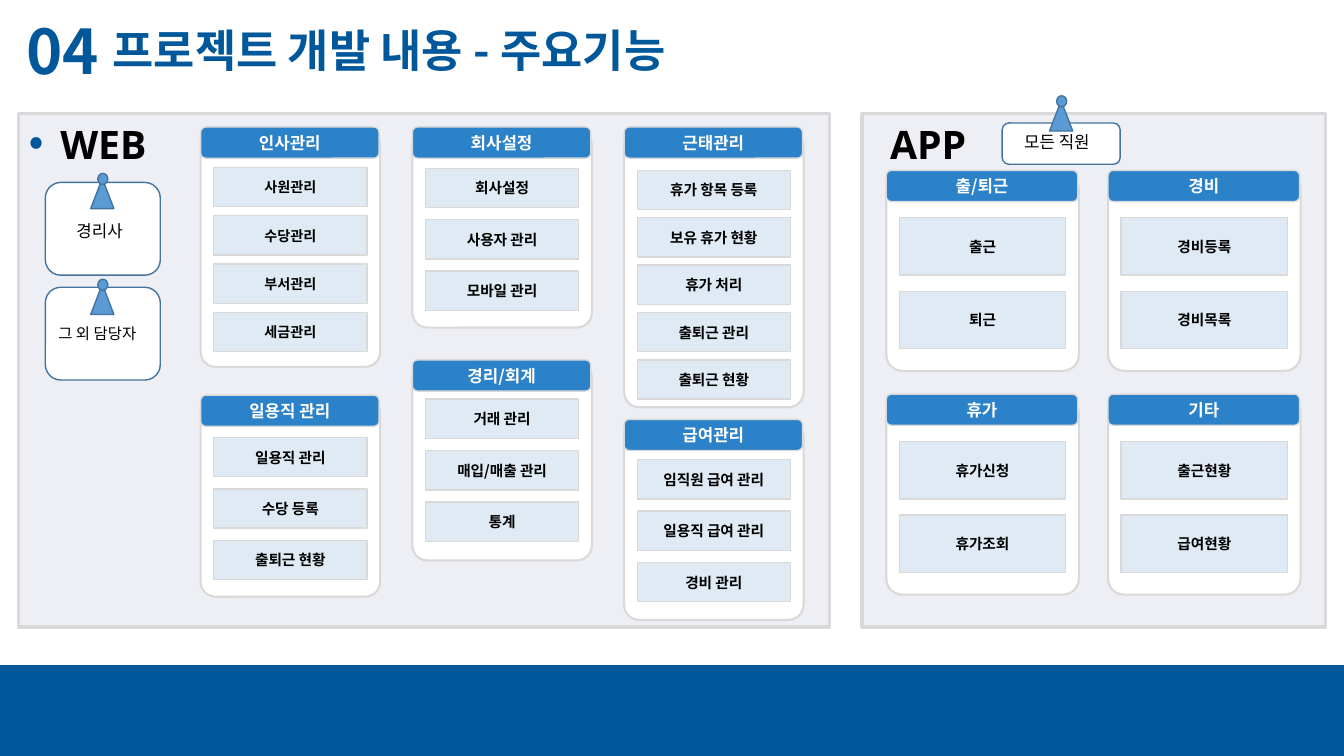
from pptx import Presentation
from pptx.dml.color import RGBColor
from pptx.enum.shapes import MSO_SHAPE
from pptx.enum.text import MSO_ANCHOR, MSO_AUTO_SIZE, PP_ALIGN
from pptx.oxml.ns import qn
from pptx.util import Inches, Pt

RECTANGLE = MSO_SHAPE.RECTANGLE
ROUNDED = MSO_SHAPE.ROUNDED_RECTANGLE
CONE = MSO_SHAPE.FLOWCHART_EXTRACT
BALL = MSO_SHAPE.FLOWCHART_CONNECTOR
CENTER = PP_ALIGN.CENTER
LEFT = PP_ALIGN.LEFT
MIDDLE = MSO_ANCHOR.MIDDLE
GROW = MSO_AUTO_SIZE.SHAPE_TO_FIT_TEXT

THEME = {
    "korean": "Noto Sans CJK KR",
    "latin": "Open Sans",
    "shapes": {
        "panel": ("EEEFF4", "D9D9D9", 2.25),
        "footer": ("00589B", "00589B", 1),
        "card": ("FFFFFF", "D9D9D9", 1.5),
        "header": ("2B82C9", "D9D9D9", 1),
        "item": ("E0EAF4", "D9D9D9", 1),
        "role": ("FFFFFF", "43739E", 1),
        "pin": ("5B9BD5", "43739E", 1),
    },
    "text": {
        "number": {"size": 44, "color": "00589B", "bold": True},
        "title": {"size": 32, "color": "00589B", "bold": True},
        "platform": {"size": 28, "color": "000000", "bold": True},
        "header": {"size": 12, "color": "FFFFFF", "bold": True},
        "item": {"size": 10.5, "color": "000000", "bold": True},
        "small item": {"size": 10.1, "color": "000000", "bold": True},
        "role": {"size": 12, "color": "000000", "bold": False},
        "small role": {"size": 11, "color": "000000", "bold": False},
    },
}

HEADINGS = [
    ("04.", (0.16, 0.08, 1.08, 0.84), "number"),
    ("프로젝트 개발 내용 - 주요기능", (1.02, 0.18, 6.5, 0.64), "title"),
]
PLATFORMS = [
    ("WEB", (0.18, 1.13, 8.05, 5.09), (0.5, 1.14, 2.81, 0.57)),
    ("APP", (8.55, 1.13, 4.6, 5.09), (8.73, 1.14, 1.61, 0.57)),
]
FOOTER = (0, 6.6, 13.33, 0.9)

WEB_COLUMNS = (1.99, 4.09, 6.19)
APP_COLUMNS = (8.79, 10.99)
WEB_SIZE = {"width": 1.77, "item_height": 0.39}
APP_SIZE = {"width": 1.9, "item_height": 0.57}

WEB_CARDS = [
    ("인사관리", 0, 1.26, 2.35, 0.40, 0.48, "small item",
     ["사원관리", "수당관리", "부서관리", "세금관리"]),
    ("일용직 관리", 0, 3.92, 1.97, 0.42, 0.51, "item",
     ["일용직 관리", "수당 등록", "출퇴근 현황"]),
    ("회사설정", 1, 1.26, 1.96, 0.41, 0.51, "item",
     ["회사설정", "사용자 관리", "모바일 관리"]),
    ("경리/회계", 1, 3.57, 1.96, 0.39, 0.51, "item",
     ["거래 관리", "매입/매출 관리", "통계"]),
    ("근태관리", 2, 1.26, 2.75, 0.43, 0.47, "item",
     ["휴가 항목 등록", "보유 휴가 현황", "휴가 처리", "출퇴근 관리", "출퇴근 현황"]),
    ("급여관리", 2, 4.16, 1.96, 0.40, 0.51, "item",
     ["임직원 급여 관리", "일용직 급여 관리", "경비 관리"]),
]
APP_CARDS = [
    (title, column, top, 1.96, 0.47, 0.73, "item", items)
    for title, column, top, items in [
        ("출/퇴근", 0, 1.69, ["출근", "퇴근"]),
        ("경비", 1, 1.69, ["경비등록", "경비목록"]),
        ("휴가", 0, 3.91, ["휴가신청", "휴가조회"]),
        ("기타", 1, 3.91, ["출근현황", "급여현황"]),
    ]
]
ROLES = [
    ("경리사", (0.45, 1.81, 1.14, 0.92), (0.66, 2.14, 0.71, 0.3), "role", (0.9, 1.72), False),
    ("그 외 담당자", (0.45, 2.85, 1.14, 0.92), (0.48, 3.17, 1.08, 0.29), "small role", (0.9, 2.77), False),
    ("모든 직원", (9.94, 1.22, 1.17, 0.41), (10.06, 1.26, 0.93, 0.3), "role", (10.41, 0.95), True),
]


def write(shape, text, style, font_name=THEME["korean"], align=LEFT):
    paragraph = shape.text_frame.paragraphs[0]
    paragraph.alignment = align
    run = paragraph.add_run()
    run.text = text
    look = THEME["text"][style]
    values = {"name": font_name, "size": Pt(look["size"]), "bold": look["bold"]}
    for name, value in values.items():
        setattr(run.font, name, value)
    run.font.color.rgb = RGBColor.from_string(look["color"])
    east_asian = run._r.get_or_add_rPr().makeelement(qn("a:ea"), {"typeface": THEME["korean"]})
    run.font._element.find(qn("a:latin")).addnext(east_asian)


def add_block(shapes, kind, box, style, text="", text_style=None, corner=None):
    shape = shapes.add_shape(kind, *map(Inches, box))
    fill, line, weight = THEME["shapes"][style]
    shape.shadow.inherit = False
    shape.fill.solid()
    shape.fill.fore_color.rgb = RGBColor.from_string(fill)
    shape.line.color.rgb = RGBColor.from_string(line)
    shape.line.width = Pt(weight)
    if corner is not None:
        shape.adjustments[0] = corner
    if text:
        shape.text_frame.vertical_anchor = MIDDLE
        write(shape, text, text_style, align=CENTER)


def add_label(shapes, text, box, style, font_name=THEME["korean"], wrap=True):
    label = shapes.add_textbox(*map(Inches, box))
    for name, value in {"word_wrap": wrap, "auto_size": GROW}.items():
        setattr(label.text_frame, name, value)
    write(label, text, style, font_name)


def add_card(slide, card, columns, width, item_height):
    title, column, top, height, first, pitch, item_style, items = card
    left = columns[column]
    shapes = slide.shapes.add_group_shape().shapes
    add_block(shapes, ROUNDED, (left, top + 0.03, width + 0.01, height), "card", corner=0.083)
    add_block(shapes, ROUNDED, (left, top, width, 0.31), "header", title, "header")
    for index, item in enumerate(items):
        box = (left + 0.13, top + first + index * pitch, width - 0.25, item_height)
        add_block(shapes, RECTANGLE, box, "item", item, item_style)


def add_role(slide, text, box, label_box, style, pin, wrap):
    shapes = slide.shapes.add_group_shape().shapes
    add_block(shapes, ROUNDED, box, "role")
    add_label(shapes, text, label_box, style, wrap=wrap)
    left, top = pin
    add_block(shapes, CONE, (left, top + 0.05, 0.23, 0.3), "pin")
    add_block(shapes, BALL, (left + 0.07, top, 0.1, 0.11), "pin")


def main():
    presentation = Presentation()
    presentation.slide_width = Inches(13.33)
    presentation.slide_height = Inches(7.5)
    slide = presentation.slides.add_slide(presentation.slide_layouts[6])

    for name, panel, label in PLATFORMS:
        add_block(slide.shapes, RECTANGLE, panel, "panel")
        add_label(slide.shapes, name, label, "platform", THEME["latin"])
    add_block(slide.shapes, RECTANGLE, FOOTER, "footer")
    for text, box, style in HEADINGS:
        add_label(slide.shapes, text, box, style)
    for cards, columns, size in (
        (WEB_CARDS, WEB_COLUMNS, WEB_SIZE),
        (APP_CARDS, APP_COLUMNS, APP_SIZE),
    ):
        for card in cards:
            add_card(slide, card, columns, **size)
    for role in ROLES:
        add_role(slide, *role)

    presentation.save("out.pptx")


if __name__ == "__main__":
    main()
